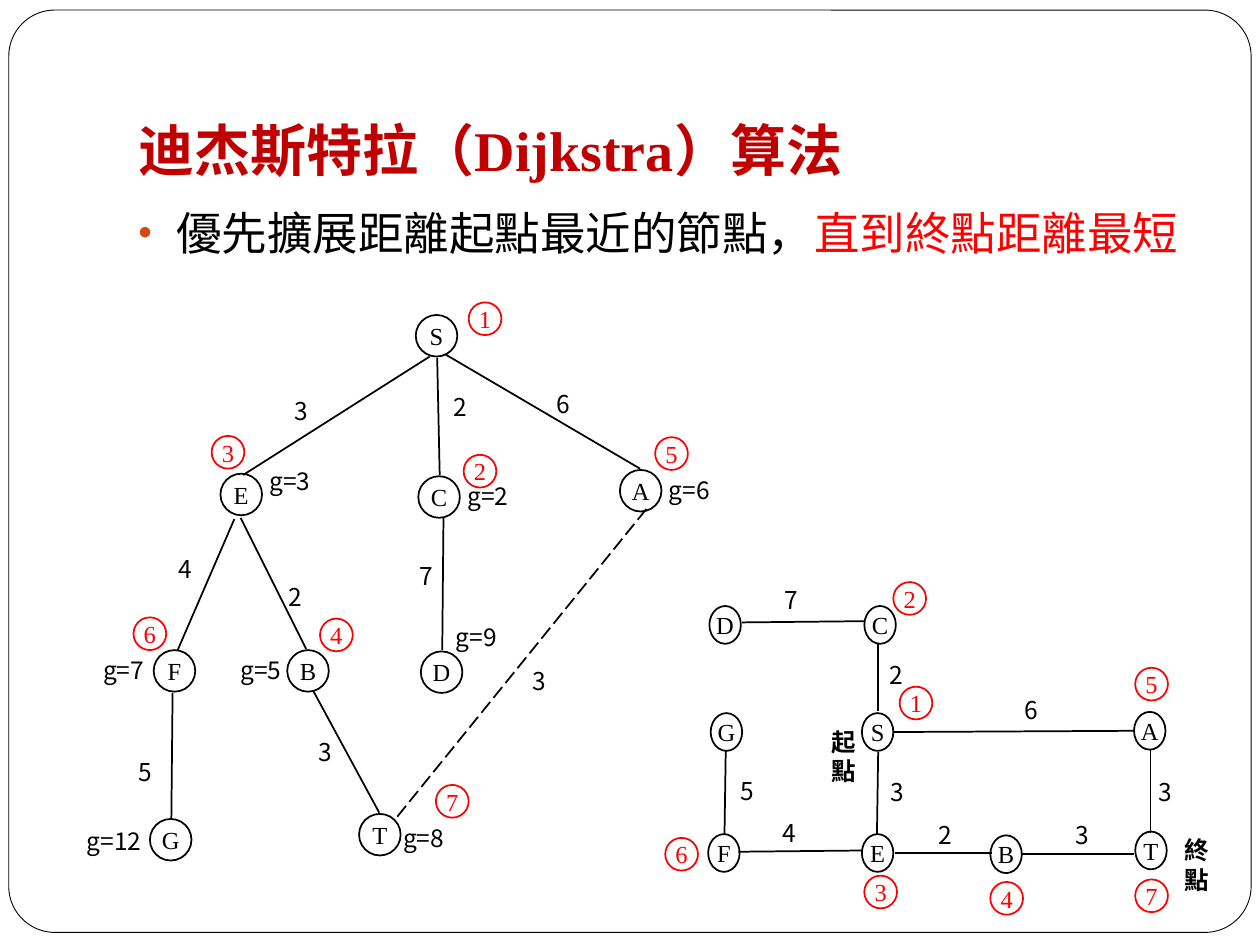
"""Build a slide that shows Dijkstra's algorithm as a search tree and a weighted map."""
from lxml import etree
from pptx import Presentation
from pptx.dml.color import RGBColor
from pptx.enum.dml import MSO_LINE
from pptx.enum.shapes import MSO_CONNECTOR, MSO_SHAPE
from pptx.enum.text import MSO_ANCHOR, PP_ALIGN
from pptx.oxml.ns import qn
from pptx.util import Pt

PX = 9144
STRAIGHT = MSO_CONNECTOR.STRAIGHT
OVAL, RECTANGLE, ROUNDED = MSO_SHAPE.OVAL, MSO_SHAPE.RECTANGLE, MSO_SHAPE.ROUNDED_RECTANGLE
TOP, MIDDLE, BOTTOM = MSO_ANCHOR.TOP, MSO_ANCHOR.MIDDLE, MSO_ANCHOR.BOTTOM
LEFT, CENTER, JUSTIFY = PP_ALIGN.LEFT, PP_ALIGN.CENTER, PP_ALIGN.JUSTIFY
LONG_DASH = MSO_LINE.LONG_DASH
SERIF, SANS = "Times New Roman", "Noto Sans CJK SC"
COLORS = {"black": "000000", "white": "FFFFFF", "red": "FF0000", "title": "C00000", "bullet": "D34817"}


def rgb(name):
    return RGBColor.from_string(COLORS[name])


def add_text(shape, text, size=14, font=SERIF, color="black", bold=False,
             align=CENTER, anchor=MIDDLE, wrap=True, inset=None):
    frame = shape.text_frame
    frame.word_wrap = wrap
    frame.vertical_anchor = anchor
    if inset is not None:
        frame.margin_left = frame.margin_top = frame.margin_right = frame.margin_bottom = inset
    paragraph = frame.paragraphs[0]
    paragraph.alignment = align
    run = paragraph.add_run()
    run.text = text
    run.font.size = Pt(size)
    run.font.bold = bold
    run.font.name = font
    run.font.color.rgb = rgb(color)
    etree.SubElement(run.font._element, qn("a:ea"), typeface=SANS)


presentation = Presentation()
presentation.slide_width = 1000 * PX
presentation.slide_height = 750 * PX
slide = presentation.slides.add_slide(presentation.slide_layouts[6])
shapes = slide.shapes

border = shapes.add_shape(ROUNDED, 7 * PX, 8 * PX, 986 * PX, 732 * PX)
border.adjustments[0] = 0.05
border.shadow.inherit = False
border.fill.solid()
border.fill.fore_color.rgb = rgb("white")
border.line.color.rgb = rgb("black")
border.line.width = Pt(0.5)

title = shapes.add_textbox(100 * PX, 30 * PX, 850 * PX, 125 * PX)
add_text(title, "迪杰斯特拉（Dijkstra）算法", size=32, color="title", bold=True, align=LEFT, anchor=BOTTOM)
title.text_frame.margin_bottom = 10 * PX

body = shapes.add_textbox(100 * PX, 158 * PX, 850 * PX, 500 * PX)
properties = body.text_frame.paragraphs[0]._p.get_or_add_pPr()
properties.set("marL", str(30 * PX))
properties.set("indent", str(-30 * PX))
bullet_color = etree.SubElement(properties, qn("a:buClr"))
etree.SubElement(bullet_color, qn("a:srgbClr"), val=COLORS["bullet"])
etree.SubElement(properties, qn("a:buSzPct"), val="85000")
etree.SubElement(properties, qn("a:buFont"), typeface="Arial")
etree.SubElement(properties, qn("a:buChar"), char="•")
for text, color in [("優先擴展距離起點最近的節點，", "black"), ("直到終點距離最短", "red")]:
    add_text(body, text, size=26, color=color, align=LEFT, anchor=TOP)

tree_weights = [("2", 350, 306), ("3", 224, 309), ("6", 432, 304), ("2", 219, 457), ("4", 132, 435),
                ("7", 323, 440), ("3", 413, 524), ("3", 243, 580), ("5", 100, 596)]
tree_costs = [("g=9", 352, 489), ("g=3", 204, 365), ("g=2", 361, 377), ("g=6", 521, 372),
              ("g=7", 72, 515), ("g=5", 181, 515), ("g=8", 310, 648), ("g=12", 59, 651)]
map_weights = [("4", 611, 644), ("6", 803, 547), ("3", 844, 646), ("2", 735, 646), ("2", 696, 519),
               ("3", 697, 612), ("7", 613, 459), ("5", 578, 611), ("3", 910, 612)]
map_ends = [("起點", 650, 572), ("終點", 930, 658)]
for labels, width, height, bold in [(tree_weights, 36, 35, False), (tree_costs, 68, 35, False),
                                    (map_weights, 27, 32, False), (map_ends, 49, 32, True)]:
    for text, left, top in labels:
        label = shapes.add_shape(RECTANGLE, left * PX, top * PX, width * PX, height * PX)
        label.shadow.inherit = False
        label.fill.solid()
        label.fill.fore_color.rgb = rgb("white")
        label.line.fill.background()
        add_text(label, text, font=SANS, bold=bold, align=JUSTIFY, anchor=TOP)

tree_edges = [(341, 283, 193, 377), (347, 284, 349, 377), (353, 281, 508, 372),
              (352, 411, 351, 516), (186, 412, 141, 516), (191, 411, 243, 515),
              (249, 549, 301, 645), (137, 550, 136, 650)]
map_edges = [(709, 581, 900, 580), (589, 494, 686, 493), (586, 676, 684, 675), (710, 677, 787, 677),
             (697, 597, 696, 662), (576, 596, 575, 662), (913, 595, 913, 661),
             (697, 510, 697, 564), (810, 678, 900, 678)]
unused_edges = [(513, 404, 313, 651)]
for edges, dash in [(tree_edges + map_edges, None), (unused_edges, LONG_DASH)]:
    for edge in edges:
        connector = shapes.add_connector(STRAIGHT, *[value * PX for value in edge])
        connector.line.color.rgb = rgb("black")
        connector.line.width = Pt(1)
        connector.line.dash_style = dash
        etree.SubElement(connector._element.spPr, qn("a:effectLst"))

tree_nodes = [("S", 330, 250), ("E", 175, 376), ("C", 332, 378), ("A", 492, 373), ("B", 228, 516),
              ("F", 122, 516), ("T", 285, 646), ("D", 334, 517), ("G", 119, 650)]
map_nodes = [("C", 686, 481), ("E", 684, 662), ("B", 786, 663), ("A", 900, 565), ("T", 901, 660),
             ("D", 563, 481), ("F", 562, 662), ("G", 564, 566), ("S", 684, 566)]
tree_order = [("1", 372, 240), ("2", 368, 361), ("3", 168, 346), ("4", 254, 491),
              ("5", 520, 347), ("6", 106, 490), ("7", 346, 623)]
map_order = [("1", 714, 545), ("2", 709, 462), ("3", 686, 695), ("4", 786, 700),
             ("5", 901, 530), ("6", 528, 665), ("7", 901, 698)]
for circles, width, height, color in [(tree_nodes, 33, 33, "black"), (map_nodes, 25, 30, "black"),
                                      (tree_order + map_order, 26, 26, "red")]:
    for text, left, top in circles:
        circle = shapes.add_shape(OVAL, left * PX, top * PX, width * PX, height * PX)
        circle.shadow.inherit = False
        circle.fill.background()
        circle.line.color.rgb = rgb(color)
        circle.line.width = Pt(1)
        add_text(circle, text, color=color, wrap=False, inset=0)

presentation.save("out.pptx")
